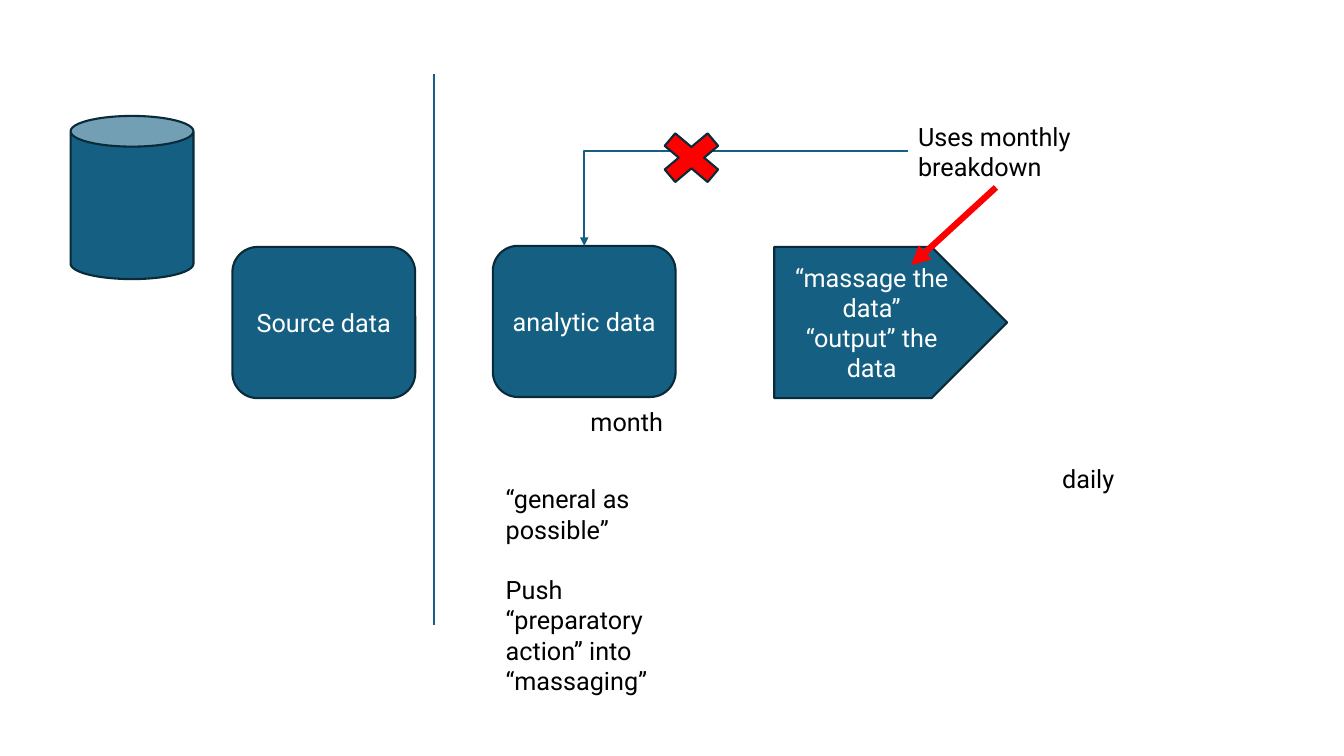
"""Build the slide on moving monthly breakdowns from analytic data into massaging."""
from dataclasses import dataclass

from pptx import Presentation
from pptx.dml.color import RGBColor
from pptx.enum.shapes import MSO_CONNECTOR as Route, MSO_SHAPE as Shape
from pptx.enum.text import MSO_ANCHOR as Anchor, MSO_AUTO_SIZE as AutoSize, PP_ALIGN as Align
from pptx.oxml.ns import qn
from pptx.shapes.autoshape import Shape as AutoShape
from pptx.shapes.connector import Connector
from pptx.slide import Slide
from pptx.text.text import TextFrame
from pptx.util import Pt

COLOURS = {"teal": "156082", "outline": "092A39", "red": "FF0000",
           "white": "FFFFFF", "black": "000000"}
FONT = "Roboto"
TEXT_SIZE = 18
PARAGRAPH_GAP = 21.6
NOTE_WIDTH = 125.3


@dataclass(frozen=True)
class Block:
    """A filled preset shape with optional centred text."""

    kind: Shape
    left: float
    top: float
    width: float
    height: float
    lines: tuple[str, ...] = ()
    fill: str = "teal"


@dataclass(frozen=True)
class Note:
    """A free-standing remark beside the diagram."""

    left: float
    top: float
    height: float
    lines: tuple[str, ...]


@dataclass(frozen=True)
class Link:
    """A line or arrow between two points."""

    start: tuple[float, float]
    end: tuple[float, float]
    colour: str = "teal"
    weight: float = 1.5
    arrow: bool = False
    route: Route = Route.STRAIGHT


DATABASE = Block(Shape.CAN, 50.4, 82.8, 87.8, 116.6)
SOURCE_DATA = Block(Shape.ROUNDED_RECTANGLE, 166, 176.4, 130.6, 108, ("Source data",))
ANALYTIC_DATA = Block(Shape.ROUNDED_RECTANGLE, 352, 175.6, 130.6, 108, ("analytic data",))
MASSAGING = Block(Shape.PENTAGON, 553, 176.4, 166.3, 108,
                  ("“massage the data”", "“output” the data"))
REJECTION = Block(Shape.MATH_MULTIPLY, 464.4, 87.8, 59, 49.7, fill="red")

MONTHLY_USE = Note(648.7, 82.8, 51, ("Uses monthly breakdown",))
REMARKS = (
    Note(414.7, 286.6, 29, ("month",)),
    Note(751.7, 327.6, 29, ("daily",)),
    Note(354.2, 342, 160,
         ("“general as possible”", "Push “preparatory action” into “massaging”")),
)

OLD_PATH = Link((648.7, 108.2), (417.3, 175.6), arrow=True, route=Route.ELBOW)
NEW_PATH = Link((711.4, 133.9), (650.9, 189.4), "red", 4.5, arrow=True)
DIVIDER = Link((310.3, 52.6), (310.3, 446.4))


def rgb(name: str) -> RGBColor:
    """Look up a palette colour."""
    return RGBColor.from_string(COLOURS[name])


def write(frame: TextFrame, lines: tuple[str, ...], colour: str, align: Align,
          gap: float = 0) -> None:
    """Fill a text frame with one paragraph per line."""
    frame.word_wrap = True
    for index, line in enumerate(lines):
        paragraph = frame.add_paragraph() if index else frame.paragraphs[0]
        paragraph.text = line
        paragraph.alignment = align
        paragraph.space_before = Pt(gap if index else 0)
        paragraph.font.name = FONT
        paragraph.font.size = Pt(TEXT_SIZE)
        paragraph.font.color.rgb = rgb(colour)


def draw_block(slide: Slide, block: Block) -> AutoShape:
    """Draw a filled shape and its text."""
    shape = slide.shapes.add_shape(block.kind, Pt(block.left), Pt(block.top),
                                   Pt(block.width), Pt(block.height))
    shape.shadow.inherit = False
    shape.fill.solid()
    shape.fill.fore_color.rgb = rgb(block.fill)
    shape.line.color.rgb = rgb("outline")
    shape.line.width = Pt(1.5)
    shape.text_frame.vertical_anchor = Anchor.MIDDLE
    write(shape.text_frame, block.lines, "white", Align.CENTER)
    return shape


def draw_note(slide: Slide, note: Note) -> AutoShape:
    """Draw a wrapped text box."""
    box = slide.shapes.add_textbox(Pt(note.left), Pt(note.top), Pt(NOTE_WIDTH), Pt(note.height))
    write(box.text_frame, note.lines, "black", Align.LEFT, PARAGRAPH_GAP)
    box.text_frame.auto_size = AutoSize.SHAPE_TO_FIT_TEXT
    return box


def draw_link(slide: Slide, link: Link) -> Connector:
    """Draw a line, with an arrowhead at its end where asked."""
    points = (Pt(value) for value in link.start + link.end)
    connector = slide.shapes.add_connector(link.route, *points)
    connector.line.color.rgb = rgb(link.colour)
    connector.line.width = Pt(link.weight)
    properties = connector._element.spPr
    if link.arrow:
        head = properties.find(qn("a:ln")).makeelement(qn("a:tailEnd"), {"type": "triangle"})
        properties.find(qn("a:ln")).append(head)
    if link.route == Route.ELBOW:
        properties.find(qn("a:prstGeom")).set("prst", "bentConnector2")
        frame = properties.find(qn("a:xfrm"))
        frame.attrib.pop("flipH", None)
        frame.set("rot", "10800000")
        frame.set("flipV", "1")
    properties.append(properties.makeelement(qn("a:effectLst"), {}))
    return connector


def main() -> None:
    """Build and save the slide."""
    deck = Presentation()
    deck.slide_width, deck.slide_height = Pt(960), Pt(540)
    slide = deck.slides.add_slide(deck.slide_layouts[6])
    for block in (DATABASE, SOURCE_DATA, ANALYTIC_DATA, MASSAGING):
        draw_block(slide, block)
    draw_note(slide, MONTHLY_USE)
    draw_link(slide, OLD_PATH)
    draw_block(slide, REJECTION)
    draw_link(slide, NEW_PATH)
    for remark in REMARKS:
        draw_note(slide, remark)
    draw_link(slide, DIVIDER)
    deck.save("out.pptx")


if __name__ == "__main__":
    main()
